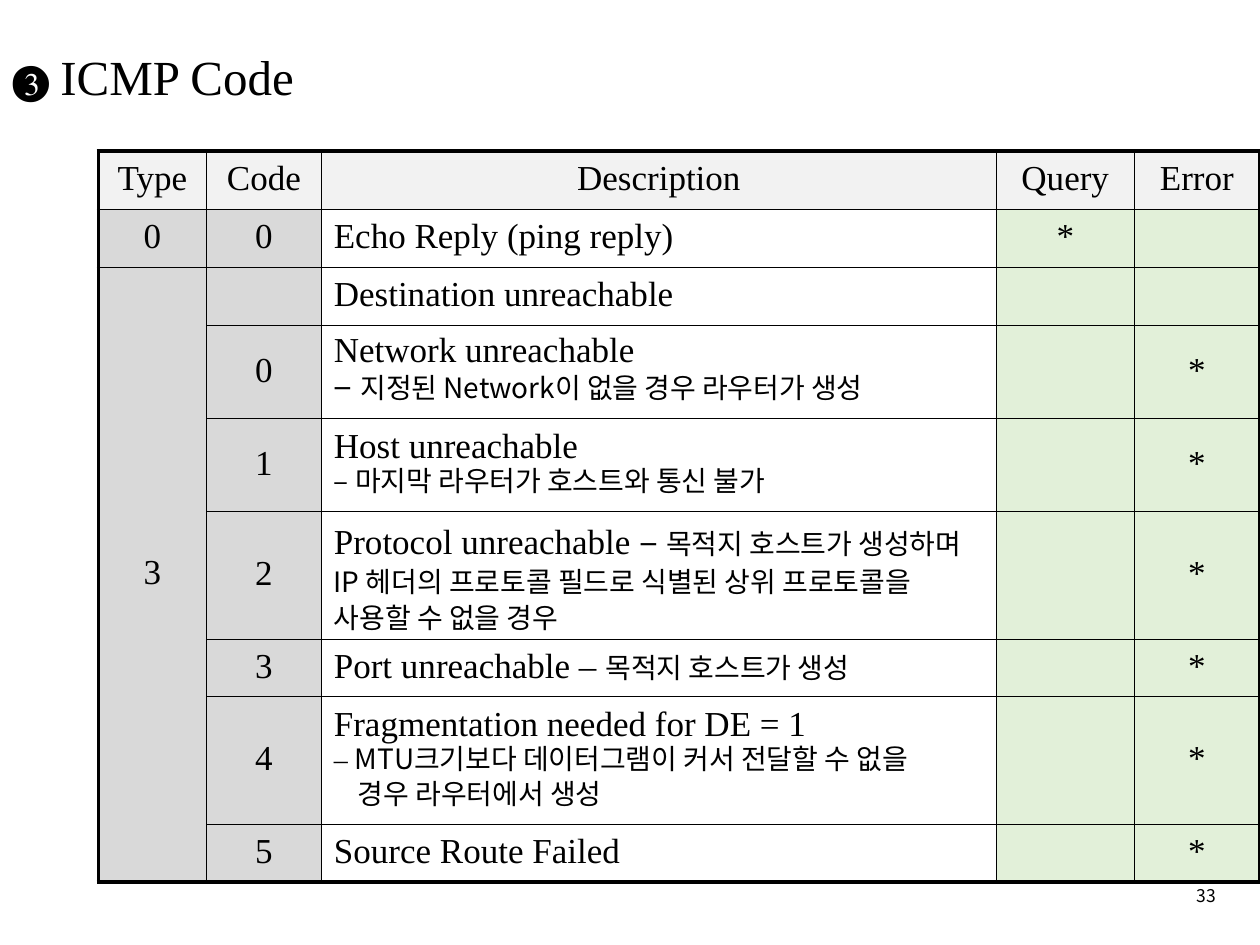
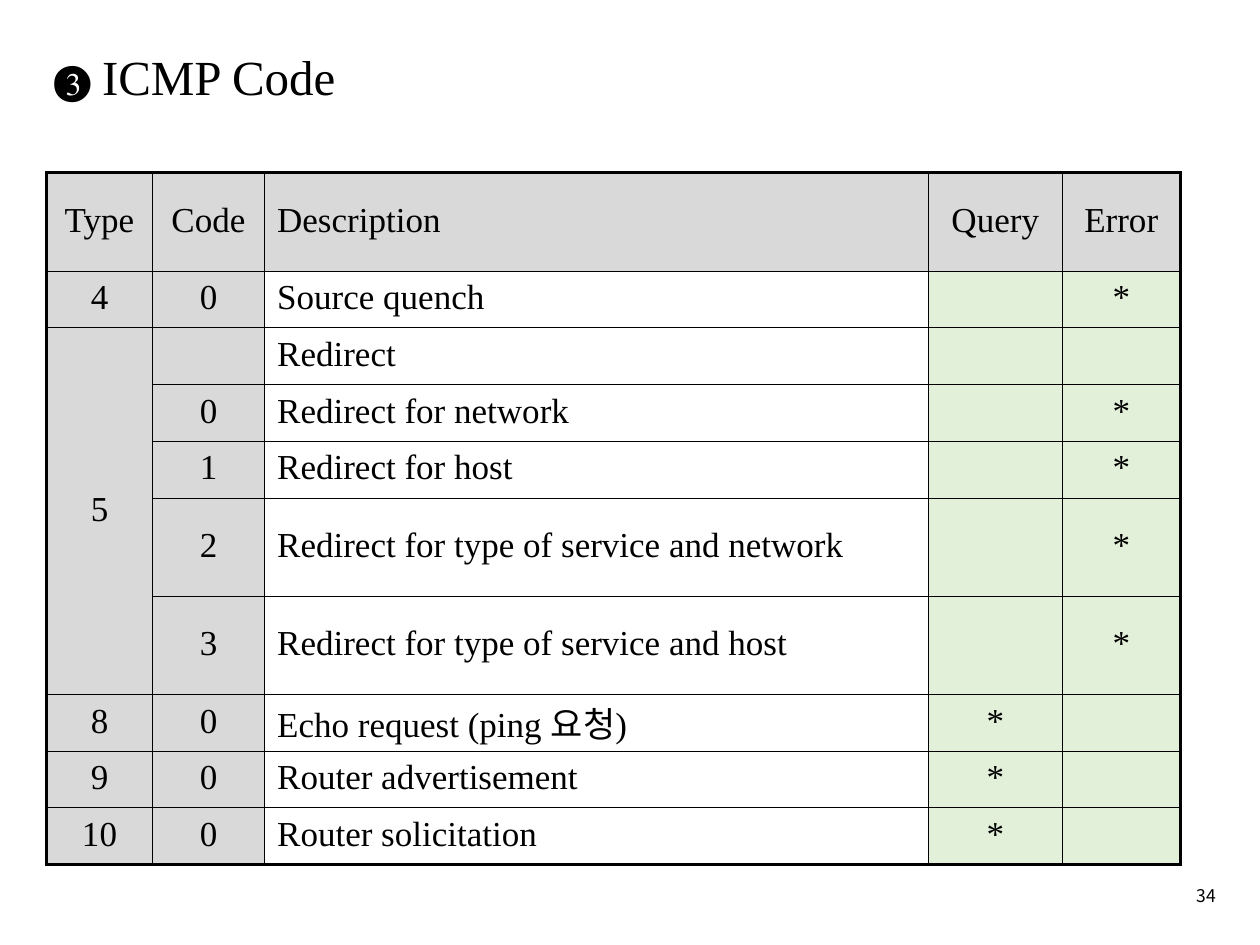
from dataclasses import dataclass
from lxml.etree import SubElement
from pptx import Presentation
from pptx.dml.color import RGBColor as Rgb
from pptx.enum.text import MSO_ANCHOR as Anchor, PP_ALIGN as Align
from pptx.oxml.ns import qn
from pptx.util import Inches, Pt


@dataclass(frozen=True)
class Theme:
    ink: str = "000000"
    pale_head: str = "F2F2F2"
    grey: str = "D9D9D9"
    green: str = "E2F0D9"
    latin: str = "Times New Roman"
    korean: str = "Noto Sans CJK KR"
    thin: float = 0.25
    thick: float = 2.25


theme = Theme()

# Text styles: font and size
STYLES = {
    "body": dict(name=theme.latin, size=Pt(20)),
    "lead": dict(name=theme.korean, size=Pt(20)),
    "note": dict(name=theme.korean, size=Pt(16)),
    "dash": dict(name=theme.latin, size=Pt(16)),
    "bullet": dict(name=theme.latin, size=Pt(24)),
    "gap": dict(name=theme.korean, size=Pt(28)),
    "title": dict(name=theme.latin, size=Pt(28)),
    "number": dict(name=theme.korean, size=Pt(10)),
}
TITLE = [("❸", "bullet"), (" ", "gap"), ("ICMP Code", "title")]
HEADS = ["Type", "Code", "Description", "Query", "Error"]
LEFT, CENTER, RIGHT = Align.LEFT, Align.CENTER, Align.RIGHT

# Deck and grid: one unit is a hundredth of the slide's width
deck = Presentation()
deck.slide_width, deck.slide_height = Inches(10), Inches(7.5)
unit = deck.slide_width // 100


def write(para, spans, **formats):
    """Fill a paragraph with (text, style) spans and set its format values."""
    for key, value in formats.items():
        setattr(para, key, value)
    for text, style in spans:
        span = para.add_run()
        span.text = text
        for key, value in STYLES[style].items():
            setattr(span.font, key, value)
        span.font.color.rgb = Rgb.from_string(theme.ink)
        SubElement(span.font._element, qn("a:ea"), typeface=theme.korean)


def draw_borders(cell, widths):
    """Draw the left, right, top and bottom lines of a cell."""
    props = cell._tc.get_or_add_tcPr()
    for side, width in zip("LRTB", widths):
        line = SubElement(props, qn(f"a:ln{side}"), w=str(Pt(width)))
        paint = SubElement(line, qn("a:solidFill"))
        SubElement(paint, qn("a:srgbClr"), val=theme.ink)


# Each row: height, type, code, description, query, error.
# A type of None continues the one above; a description is text or paragraphs.
unreachable = [
    (4.6, "0", "0", "Echo Reply (ping reply)", "*", ""),
    (4.6, "3", "", "Destination unreachable", "", ""),
    (7.4, None, "0", [
        [("Network unreachable", "body")],
        [("– ", "body"), ("지정된 Network이 없을 경우 라우터가 생성", "note")],
    ], "", "*"),
    (7.4, None, "1", [
        [("Host unreachable", "body")],
        [("– ", "dash"), ("마지막 라우터가 호스트와 통신 불가", "note")],
    ], "", "*"),
    (10.1, None, "2", [
        [("Protocol unreachable ", "body"), ("– ", "lead"),
         ("목적지 호스트가 생성하며 IP 헤더의 프로토콜 필드로 식별된 "
          "상위 프로토콜을 사용할 수 없을 경우", "note")],
    ], "", "*"),
    (4.6, None, "3", [
        [("Port unreachable – ", "body"), ("목적지 호스트가 생성", "note")],
    ], "", "*"),
    (10.1, None, "4", [
        [("Fragmentation needed for DE = 1", "body")],
        [("– ", "dash"), ("MTU크기보다 데이터그램이 커서 전달할 수 없을", "note")],
        [("경우 라우터에서 생성", "note")],
    ], "", "*"),
    (4.6, None, "5", "Source Route Failed", "", "*"),
]
redirect = [
    (4.5, "4", "0", "Source quench", "", "*"),
    (4.5, "5", "", "Redirect", "", ""),
    (4.5, None, "0", "Redirect for network", "", "*"),
    (4.5, None, "1", "Redirect for host", "", "*"),
    (7.8, None, "2", "Redirect for type of service and network", "", "*"),
    (7.8, None, "3", "Redirect for type of service and host", "", "*"),
    (4.5, "8", "0", "Echo request (ping 요청)", "*", ""),
    (4.5, "9", "0", "Router advertisement", "*", ""),
    (4.5, "10", "0", "Router solicitation", "*", ""),
]

# What differs between the pages, in grid units
pages = [
    dict(number="33", title_left=0, corner=(7.8, 12), head_fill=theme.pale_head,
         head_height=4.6, description_align=CENTER,
         columns=[8.6, 9.1, 53.6, 10.9, 10], body=unreachable),
    dict(number="34", title_left=3.3, corner=(3.7, 13.7), head_fill=theme.grey,
         head_height=7.8, description_align=LEFT,
         columns=[8.4, 8.9, 52.7, 10.6, 9.4], body=redirect),
]

for content in pages:
    page = deck.slides.add_slide(deck.slide_layouts[6])

    # Title and page number
    labels = [
        ((content["title_left"], 1.7, 89.6, 9.2), TITLE,
         dict(alignment=LEFT, line_spacing=0.9)),
        ((75, 69.1, 22.5, 4), [(content["number"], "number")],
         dict(alignment=RIGHT)),
    ]
    for place, spans, formats in labels:
        box = page.shapes.add_textbox(*[int(unit * length) for length in place])
        box.text_frame.word_wrap = True
        box.text_frame.vertical_anchor = Anchor.MIDDLE
        write(box.text_frame.paragraphs[0], spans, **formats)

    # Table grid
    rows = [(content["head_height"], *HEADS)] + content["body"]
    columns = content["columns"]
    heights = [row[0] for row in rows]
    place = (*content["corner"], sum(columns), sum(heights))
    table = page.shapes.add_table(
        len(rows), len(columns), *[int(unit * length) for length in place]).table
    table.first_row = table.horz_banding = False
    for column, width in zip(table.columns, columns):
        column.width = int(unit * width)
    for line, height in zip(table.rows, heights):
        line.height = int(unit * height)

    # Cells
    last_row, last_column = len(rows) - 1, len(columns) - 1
    for r, row in enumerate(rows):
        for c, value in enumerate(row[1:]):
            cell = table.cell(r, c)
            end = r
            if c == 0:
                while end < last_row and rows[end + 1][1] is None:
                    end += 1
                if end > r and value is not None:
                    cell.merge(table.cell(end, c))

            outer = (c == 0, c == last_column, r == 0, end == last_row)
            draw_borders(cell, [theme.thick if edge else theme.thin for edge in outer])
            cell.vertical_anchor = Anchor.MIDDLE

            fill = [theme.grey, theme.grey, None, theme.green, theme.green][c]
            if r == 0:
                fill = content["head_fill"]
            if fill:
                cell.fill.solid()
                cell.fill.fore_color.rgb = Rgb.from_string(fill)
            else:
                cell.fill.background()

            if not value:
                continue
            align = CENTER
            if c == 2:
                align = content["description_align"] if r == 0 else LEFT
            paragraphs = [[(value, "body")]] if isinstance(value, str) else value
            for index, spans in enumerate(paragraphs):
                frame = cell.text_frame
                para = frame.add_paragraph() if index else frame.paragraphs[0]
                write(para, spans, alignment=align,
                      line_spacing=Pt(10) if index else 0.9)
                # Space before as a share of the type size
                props = para._p.get_or_add_pPr()
                before = SubElement(props, qn("a:spcBef"))
                SubElement(before, qn("a:spcPct"), val="60000")
                if index == 2:
                    props.set("marL", str(int(unit * 1.9)))

deck.save("out.pptx")
